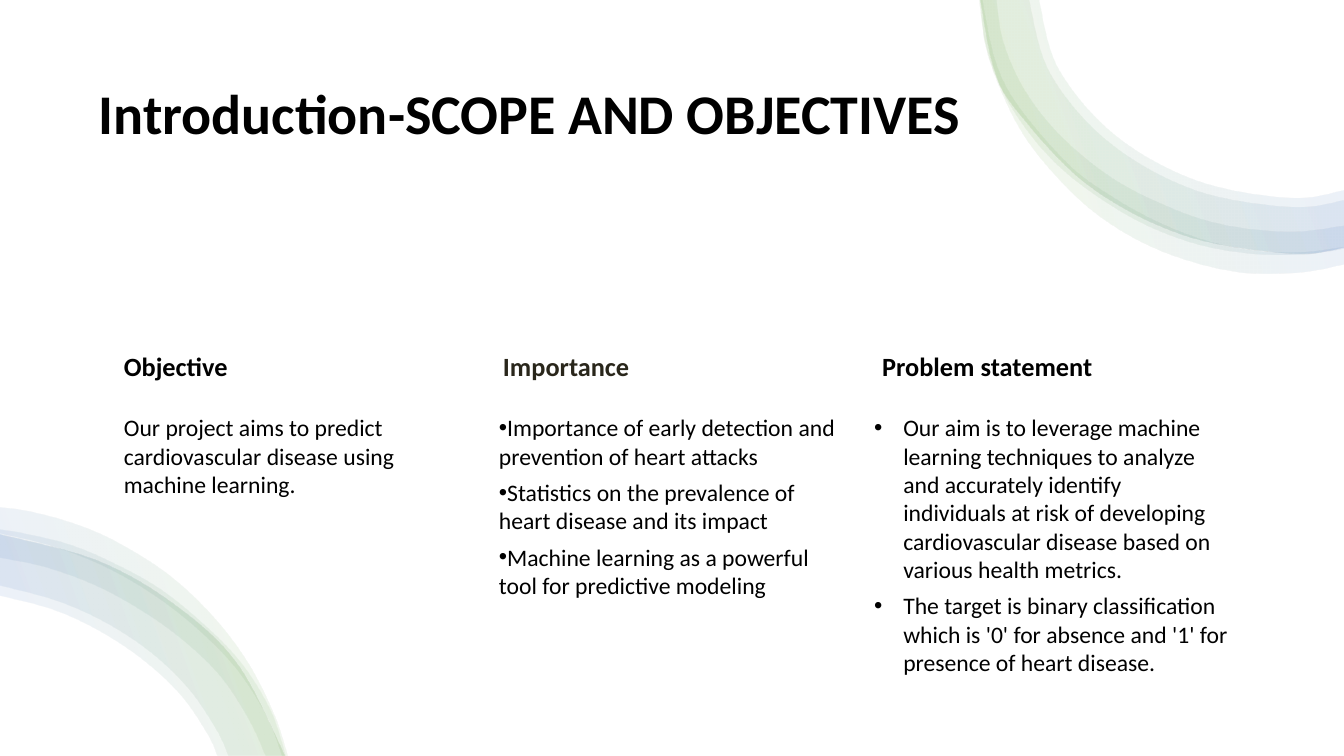
from lxml import etree
from pptx import Presentation
from pptx.dml.color import RGBColor
from pptx.enum.shapes import MSO_SHAPE as Preset
from pptx.enum.text import MSO_ANCHOR as Anchor
from pptx.oxml import parse_xml
from pptx.oxml.ns import nsdecls, qn
from pptx.util import Inches, Pt

FONT = "Calibri"
WHITE, BLACK, BROWN = "FFFFFF", "000000", "29261B"
PAGE_SIZE = (13.33, 7.5)
TITLE = "Introduction-SCOPE AND OBJECTIVES"

# heading, heading colour, heading left, body left, body width, body height,
# bullet indent (None for no bullet), paragraphs
COLUMNS = [
    ("Objective", BLACK, 1.13, 1.13, 3.55, 0.86, None,
     ["Our project aims to predict cardiovascular disease using machine learning."]),
    ("Importance", BROWN, 4.89, 4.85, 3.55, 2.03, 0,
     ["Importance of early detection and prevention of heart attacks",
      "Statistics on the prevalence of heart disease and its impact",
      "Machine learning as a powerful tool for predictive modeling"]),
    ("Problem statement", BLACK, 8.65, 8.57, 3.72, 2.8, 0.29,
     ["Our aim is to leverage machine learning techniques to analyze and accurately "
      "identify individuals at risk of developing cardiovascular disease based on "
      "various health metrics.",
      "The target is binary classification which is '0' for absence and '1' for "
      "presence of heart disease."]),
]
HEADING_TOP, BODY_TOP, HEADING_SIZE = 3.42, 4.05, (3.55, 0.61)

# Gradient stops: position in percent, colour; all equally transparent
STOPS = [(2, WHITE), (16, "70AD47"), (85, "4472C4"), (100, WHITE)]
OPACITY = 10

# Each band is an outer and an inner edge, given by points on the curve
TOP_RIM = [(9.73, 0), (9.86, 0.67), (10.09, 1.1), (10.8, 1.84), (11.74, 2.33),
           (12.79, 2.51), (13.33, 2.45)]
TOP_BANDS = [
    (TOP_RIM, [(10.31, 0), (10.5, 0.68), (11.06, 1.34), (11.87, 1.79),
               (12.79, 1.96), (13.33, 1.88)]),
    (TOP_RIM, [(10.21, 0), (10.42, 0.73), (11, 1.41), (11.84, 1.88),
               (12.79, 2.05), (13.33, 1.98)]),
    ([(9.73, 0), (9.78, 0.43), (9.94, 0.89), (10.21, 1.32), (10.54, 1.68),
      (10.95, 1.99), (11.39, 2.24), (11.88, 2.42), (12.39, 2.51), (12.91, 2.52),
      (13.33, 2.46)],
     [(9.89, 0), (9.95, 0.39), (10.12, 0.81), (10.38, 1.19), (10.71, 1.52),
      (11.09, 1.8), (11.5, 2.01), (11.95, 2.18), (12.42, 2.27), (12.89, 2.29),
      (13.33, 2.23)]),
    ([(9.71, 0), (9.77, 0.45), (9.91, 0.87), (10.14, 1.33), (10.46, 1.74),
      (10.85, 2.11), (11.31, 2.4), (11.82, 2.6), (12.36, 2.71), (12.92, 2.7),
      (13.33, 2.62)],
     [(9.74, 0), (9.87, 0.61), (10.1, 1.06), (10.59, 1.63), (10.99, 1.93),
      (11.43, 2.18), (11.9, 2.37), (12.39, 2.48), (12.9, 2.5), (13.33, 2.45)]),
]
BOTTOM_RIM = [(0, 5.3), (0.96, 5.56), (1.73, 6), (2.35, 6.59), (2.82, 7.5)]
BOTTOM_BANDS = [
    ([(0, 5.04), (0.29, 5.08), (0.73, 5.2), (1.15, 5.38), (1.66, 5.7), (2.1, 6.11),
      (2.45, 6.57), (2.71, 7.08), (2.85, 7.5)],
     [(0, 5.3), (0.5, 5.42), (1.02, 5.62), (1.51, 5.9), (1.95, 6.24), (2.34, 6.64),
      (2.64, 7.11), (2.79, 7.5)]),
    (BOTTOM_RIM, [(0, 5.91), (0.53, 6.05), (1, 6.27), (1.43, 6.56), (1.79, 6.9),
                  (2.05, 7.28), (2.15, 7.5)]),
    ([(0, 5.26), (0.24, 5.3), (0.66, 5.4), (1.06, 5.56), (1.56, 5.83), (2, 6.18),
      (2.39, 6.58), (2.68, 7.05), (2.83, 7.5)],
     [(0, 5.54), (0.44, 5.63), (0.94, 5.81), (1.4, 6.06), (1.82, 6.36), (2.19, 6.72),
      (2.47, 7.15), (2.63, 7.5)]),
    (BOTTOM_RIM, [(0, 5.81), (0.56, 5.96), (1.05, 6.18), (1.5, 6.48), (1.87, 6.84),
                  (2.14, 7.24), (2.26, 7.5)]),
]
# bands, gradient direction in degrees clockwise
RINGS = [(TOP_BANDS, 340), (BOTTOM_BANDS, 160)]


def color(value):
    return RGBColor.from_string(value)


def bend(segments, knots, left, top):
    """Turn straight segments into a Catmull-Rom curve through the knots."""
    padded = [knots[0], *knots, knots[-1]]
    for segment, a, b, c, d in zip(segments, padded, padded[1:], padded[2:], padded[3:]):
        first = [q + (r - p) / 6 for p, q, r in zip(a, b, c)]
        second = [r - (s - q) / 6 for q, r, s in zip(b, c, d)]
        segment.tag = qn("a:cubicBezTo")
        for index, (x, y) in enumerate((first, second)):
            handle = etree.Element(qn("a:pt"), x=str(Inches(x) - left),
                                   y=str(Inches(y) - top))
            segment.insert(index, handle)


def add_band(page, outer, inner, angle):
    back = inner[::-1]
    outline = [(Inches(x), Inches(y)) for x, y in outer + back]
    builder = page.shapes.build_freeform(*outline[0], scale=1.0)
    builder.add_line_segments(outline[1:], close=True)
    band = builder.convert_to_shape()
    band.shadow.inherit = False
    band.line.fill.background()
    segments = list(band.element.iter(qn("a:lnTo")))
    bend(segments[:len(outer) - 1], outer, band.left, band.top)
    bend(segments[len(outer):], back, band.left, band.top)
    stops = "".join(
        f'<a:gs pos="{place * 1000}"><a:srgbClr val="{value}">'
        f'<a:alpha val="{OPACITY * 1000}"/></a:srgbClr></a:gs>'
        for place, value in STOPS)
    gradient = parse_xml(
        f'<a:gradFill {nsdecls("a")} rotWithShape="1"><a:gsLst>{stops}</a:gsLst>'
        f'<a:lin ang="{angle * 60000}" scaled="0"/></a:gradFill>')
    band.element.spPr.find(qn("a:custGeom")).addnext(gradient)


def set_bullet(para, indent):
    props = para._p.get_or_add_pPr()
    props.set("marL", str(Inches(indent)))
    props.set("indent", str(-Inches(indent)))
    etree.SubElement(props, qn("a:buFont")).set("typeface", "Arial")
    etree.SubElement(props, qn("a:buChar")).set("char", "•")


def add_text(page, place, lines, size, shade, bold=False, anchor=Anchor.TOP,
             indent=None, **spacing):
    frame = page.shapes.add_textbox(*map(Inches, place)).text_frame
    frame.word_wrap = True
    frame.vertical_anchor = anchor
    for index, line in enumerate(lines):
        para = frame.paragraphs[0] if index == 0 else frame.add_paragraph()
        for name, value in spacing.items():
            setattr(para, name, value)
        if indent is not None:
            set_bullet(para, indent)
        span = para.add_run()
        span.text = line
        for name, value in {"name": FONT, "size": Pt(size), "bold": bold}.items():
            setattr(span.font, name, value)
        span.font.color.rgb = color(shade)


def main():
    deck = Presentation()
    deck.slide_width, deck.slide_height = map(Inches, PAGE_SIZE)
    page = deck.slides.add_slide(deck.slide_layouts[6])
    backdrop = page.shapes.add_shape(Preset.RECTANGLE, 0, 0, *map(Inches, PAGE_SIZE))
    backdrop.shadow.inherit = False
    backdrop.fill.solid()
    backdrop.fill.fore_color.rgb = color(WHITE)
    backdrop.line.fill.background()

    add_text(page, (0.88, 0.5, 11.57, 1.3), [TITLE], 40, BLACK, bold=True,
             anchor=Anchor.MIDDLE, line_spacing=0.9)
    for bands, angle in RINGS:
        for outer, inner in bands:
            add_band(page, outer, inner, angle)
    for heading, shade, heading_left, left, width, height, indent, lines in COLUMNS:
        add_text(page, (heading_left, HEADING_TOP, *HEADING_SIZE), [heading], 18.8,
                 shade, bold=True, space_after=Pt(6))
        add_text(page, (left, BODY_TOP, width, height), lines, 16.9, BLACK,
                 indent=indent, space_after=Pt(5.6))
    deck.save("out.pptx")


if __name__ == "__main__":
    main()
